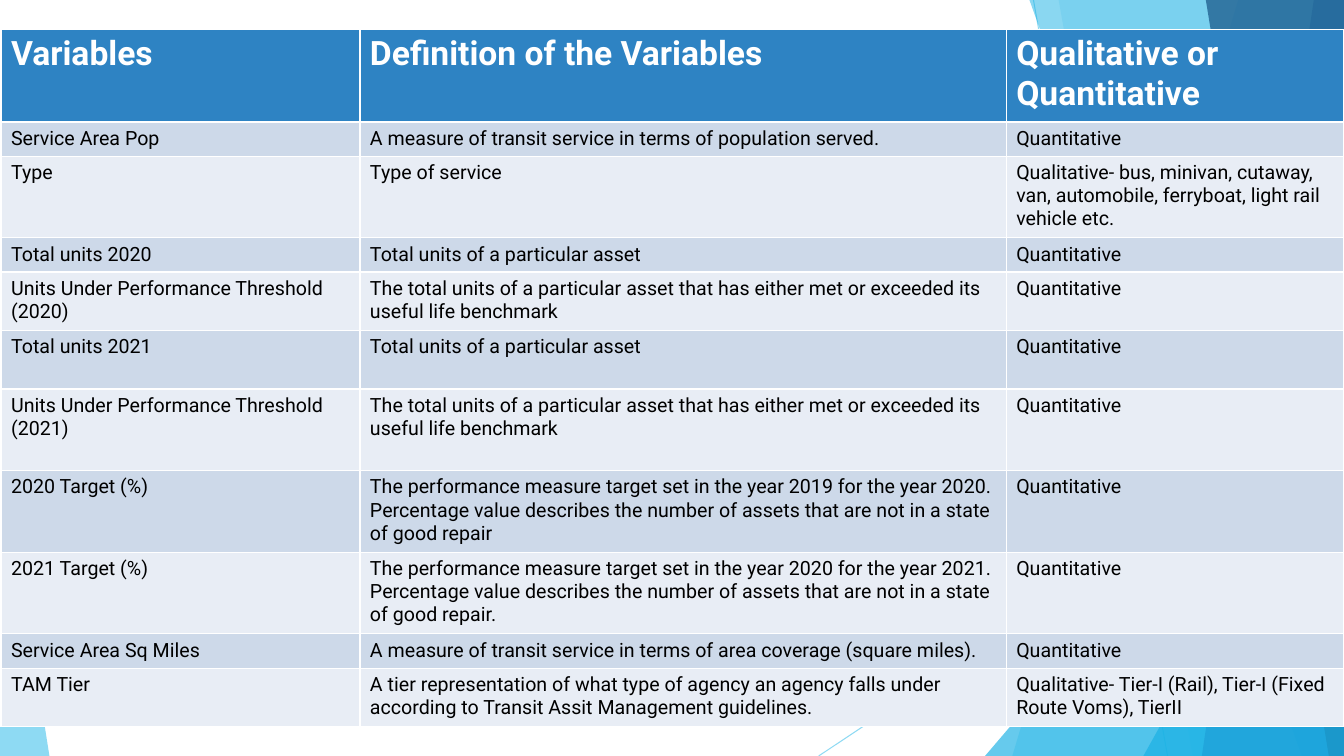
import pptx
import pptx.dml.color
import pptx.enum.shapes
import pptx.oxml
import pptx.oxml.ns
import pptx.util

Inches, Pt = pptx.util.Inches, pptx.util.Pt
RGB = pptx.dml.color.RGBColor.from_string
qn = pptx.oxml.ns.qn

COLORS = {
    "sky": "5FCBEF", "cyan": "17B0E4", "blue": "2E83C3", "navy": "226292",
    "band_dark": "CDD9E9", "band_light": "E8EDF5",
    "white": "FFFFFF", "black": "000000",
}


def set_opacity(shape, percent):
    """Apply one opacity to every explicit colour of the shape."""
    for color in shape._element.iter(qn("a:srgbClr")):
        pptx.oxml.ns  # namespace helpers come from the same module as qn
        alpha = color.makeelement(qn("a:alpha"), {"val": str(percent * 1000)})
        color.append(alpha)


def paint(facet, color, opacity):
    facet.shadow.inherit = False
    facet.fill.solid()
    facet.fill.fore_color.rgb = RGB(COLORS[color])
    facet.line.fill.background()
    set_opacity(facet, opacity)


deck = pptx.Presentation()
deck.slide_width, deck.slide_height = Inches(13.33), Inches(7.5)
slide = deck.slides.add_slide(deck.slide_layouts[6])
shapes = slide.shapes

# Thin rays behind the facets
for ray in [(10.25, 0, 11.58, 7.5), (13.33, 4.03, 8.12, 7.5)]:
    connector = shapes.add_connector(
        pptx.enum.shapes.MSO_CONNECTOR.STRAIGHT, *map(Inches, ray))
    connector.line.color.rgb = RGB(COLORS["sky"])
    connector.line.width = Pt(0.75)
    set_opacity(connector, 70)
    spPr = connector._element.spPr
    spPr.append(spPr.makeelement(qn("a:effectLst"), {}))

# Facets, back to front. A band (top left x, bottom left x) runs to the right
# edge; a triangle is (left, top, width, height, apex position).
facets = [
    ((12.28, 10.04), "sky", 36),
    ((10.5, 11.83), "sky", 20),
    ((9.77, 3.33, 3.56, 4.17, 1), "cyan", 66),
    ((10.21, 12.91), "cyan", 50),
    ((13.03, 11.92), "blue", 70),
    ((11.96, 13.18), "navy", 80),
    ((11.34, 3.93, 1.99, 3.57, 1), "cyan", 66),
    ((0, 4.39, 0.49, 3.11, 0), "sky", 70),
]
for geometry, color, opacity in facets:
    if len(geometry) == 2:
        top_x, bottom_x = map(Inches, geometry)
        outline = shapes.build_freeform(top_x, 0)
        outline.add_line_segments([
            (deck.slide_width, 0),
            (deck.slide_width, deck.slide_height),
            (bottom_x, deck.slide_height),
        ], close=True)
        facet = outline.convert_to_shape()
    else:
        *box, apex = geometry
        facet = shapes.add_shape(
            pptx.enum.shapes.MSO_SHAPE.ISOSCELES_TRIANGLE, *map(Inches, box))
        facet.adjustments[0] = apex
    paint(facet, color, opacity)

# Table of variables
benchmark = ("The total units of a particular asset that has either met or "
             "exceeded its useful life benchmark")
target = ("The performance measure target set in the year {} for the year {}. "
          "Percentage value describes the number of assets that are not in a "
          "state of good repair")
total = "Total units of a particular asset"
number = "Quantitative"
rows = [
    (0.92, "Variables", "Definition of the Variables",
     "Qualitative or Quantitative"),
    (0.34, "Service Area Pop",
     "A measure of transit service in terms of population served.", number),
    (0.81, "Type", "Type of service",
     "Qualitative- bus, minivan, cutaway, van, automobile, ferryboat, "
     "light rail vehicle etc."),
    (0.34, "Total units 2020", total, number),
    (0.58, "Units Under Performance Threshold (2020)", benchmark, number),
    (0.58, "Total units 2021", total, number),
    (0.81, "Units Under Performance Threshold (2021)", benchmark, number),
    (0.81, "2020 Target (%)", target.format(2019, 2020), number),
    (0.81, "2021 Target (%)", target.format(2020, 2021) + ".", number),
    (0.34, "Service Area Sq Miles",
     "A measure of transit service in terms of area coverage (square miles).",
     number),
    (0.58, "TAM Tier",
     "A tier representation of what type of agency an agency falls under "
     "according to Transit Assit Management guidelines.",
     "Qualitative- Tier-I (Rail), Tier-I (Fixed Route Voms), TierII"),
]
column_widths = [3.56, 6.41, 3.35]
header_font = {"name": "Roboto", "size": Pt(24), "bold": True}
body_font = {"name": "Roboto", "size": Pt(14), "bold": False}

variables = shapes.add_table(
    len(rows), len(column_widths), Inches(0.01), Inches(0.29),
    Inches(sum(column_widths)), Inches(sum(row[0] for row in rows))).table
for column, width in zip(variables.columns, column_widths):
    column.width = Inches(width)

for index, (height, *texts) in enumerate(rows):
    variables.rows[index].height = Inches(height)
    if index == 0:
        font_format, fill, ink = header_font, "blue", "white"
    else:
        font_format, ink = body_font, "black"
        fill = "band_dark" if index % 2 else "band_light"
    for cell, text in zip(variables.rows[index].cells, texts):
        cell.fill.solid()
        cell.fill.fore_color.rgb = RGB(COLORS[fill])
        cell.text = text
        font = cell.text_frame.paragraphs[0].runs[0].font
        font.color.rgb = RGB(COLORS[ink])
        for attribute, value in font_format.items():
            setattr(font, attribute, value)

deck.save("out.pptx")
